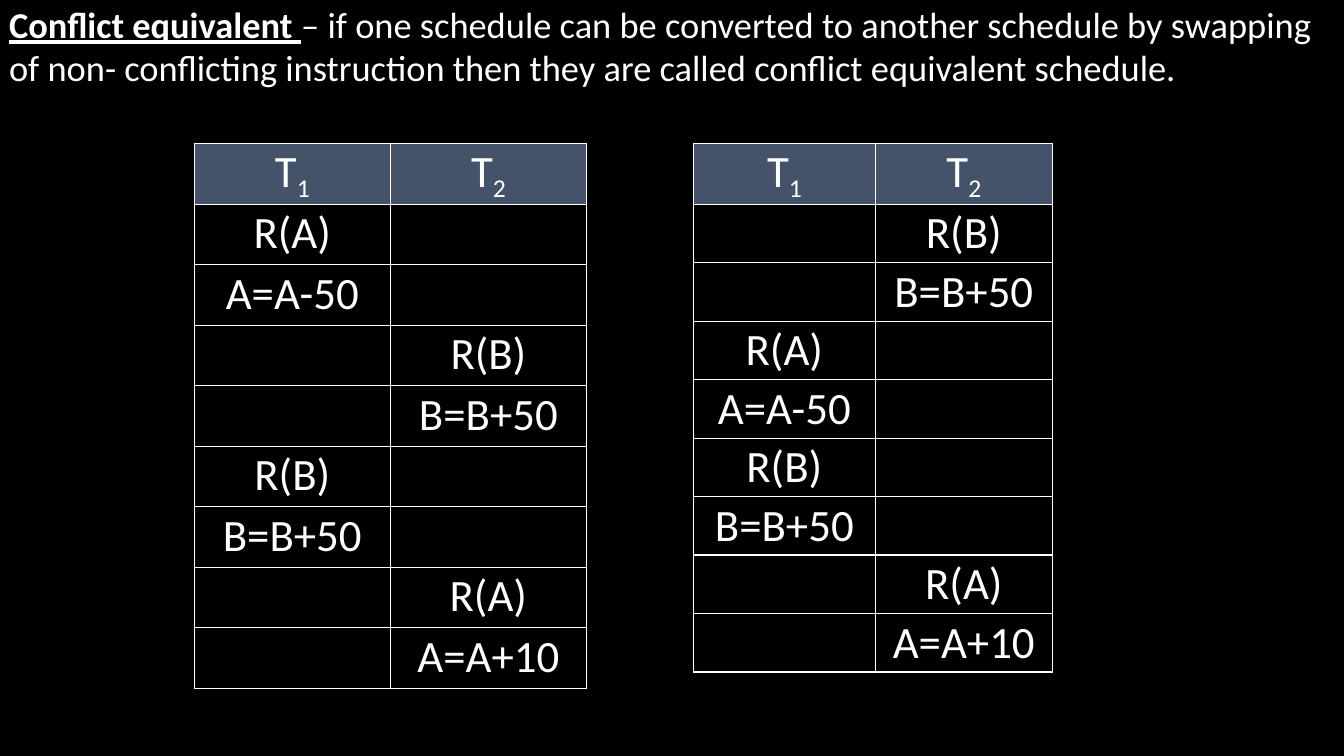
from lxml.etree import SubElement
from pptx import Presentation
from pptx.dml.color import RGBColor
from pptx.enum.text import PP_ALIGN
from pptx.oxml.ns import qn
from pptx.util import Inches, Pt

COLORS = {"background": "000000", "text": "FFFFFF", "header": "44536A", "border": "FFFFFF"}
TITLE_FORMAT = {"name": "Calibri", "size": Pt(26)}
TERM_FORMAT = {**TITLE_FORMAT, "bold": True, "underline": True}
CELL_FORMAT = {"name": "Calibri", "size": Pt(32)}
SUBSCRIPT_FORMAT = {"name": "Calibri", "size": Pt(31.5)}
CELL_MARGINS = {"margin_left": 0, "margin_top": Inches(0.02), "margin_right": 0, "margin_bottom": 0}

# Each step is (transaction number, operation), in order of execution
READ_A, READ_B = (1, "R(A)"), (2, "R(B)")
WRITE_A, WRITE_B = (1, "A=A-50"), (2, "B=B+50")
LAST_STEPS = [(1, "R(B)"), (1, "B=B+50"), (2, "R(A)"), (2, "A=A+10")]
FIRST_SCHEDULE = [READ_A, WRITE_A, READ_B, WRITE_B] + LAST_STEPS
SWAPPED_SCHEDULE = [READ_B, WRITE_B, READ_A, WRITE_A] + LAST_STEPS


def set_attributes(target, values):
    for name, value in values.items():
        setattr(target, name, value)


def set_fill(fill, color):
    fill.solid()
    fill.fore_color.rgb = RGBColor.from_string(COLORS[color])


def add_run(paragraph, text, font_format):
    run = paragraph.add_run()
    run.text = text
    set_attributes(run.font, font_format)
    run.font.color.rgb = RGBColor.from_string(COLORS["text"])
    return run


def add_definition(slide, term, meaning):
    shape = slide.shapes.add_textbox(Inches(0.09), Inches(0.01), Inches(12.94), Inches(0.9))
    frame = shape.text_frame
    set_attributes(frame, {"word_wrap": True, "margin_left": 0, "margin_top": Inches(0.01),
                           "margin_right": 0, "margin_bottom": 0})
    paragraph = frame.paragraphs[0]
    paragraph.space_before = Pt(1.1)
    add_run(paragraph, term, TERM_FORMAT)
    add_run(paragraph, meaning, TITLE_FORMAT)


def add_borders(cell):
    properties = cell._tc.get_or_add_tcPr()
    for side in ("lnL", "lnR", "lnT", "lnB"):
        line = SubElement(properties, qn(f"a:{side}"), w=str(Pt(1)))
        fill = SubElement(line, qn("a:solidFill"))
        SubElement(fill, qn("a:srgbClr"), val=COLORS["border"])


def write_cell(cell, text, subscript=""):
    set_attributes(cell, CELL_MARGINS)
    paragraph = cell.text_frame.paragraphs[0]
    set_attributes(paragraph, {"alignment": PP_ALIGN.CENTER, "space_before": Pt(1.1)})
    add_run(paragraph, text, CELL_FORMAT)
    if subscript:
        run = add_run(paragraph, subscript, SUBSCRIPT_FORMAT)
        run.font._element.set("baseline", "-21000")


def add_schedule(slide, left, column_widths, row_height, steps):
    row_count = len(steps) + 1
    frame = slide.shapes.add_table(row_count, len(column_widths), Inches(left), Inches(1.42),
                                   Inches(sum(column_widths)), Inches(row_height * row_count))
    table = frame.table
    for column, width in zip(table.columns, column_widths):
        column.width = Inches(width)
    for row in table.rows:
        row.height = Inches(row_height)
    for cell in table.iter_cells():
        add_borders(cell)
        set_fill(cell.fill, "background")

    # Header row, then one operation per row
    for number in range(1, len(column_widths) + 1):
        header = table.cell(0, number - 1)
        set_fill(header.fill, "header")
        write_cell(header, "T", str(number))
    for row_index, (transaction, operation) in enumerate(steps, start=1):
        write_cell(table.cell(row_index, transaction - 1), operation)


def main():
    presentation = Presentation()
    presentation.slide_width = Inches(13.33)
    presentation.slide_height = Inches(7.5)
    slide = presentation.slides.add_slide(presentation.slide_layouts[6])
    set_fill(slide.background.fill, "background")

    add_definition(slide, "Conflict equivalent ",
                   "– if one schedule can be converted to another schedule by swapping "
                   "of non- conflicting instruction then they are called conflict "
                   "equivalent schedule.")
    add_schedule(slide, 1.93, [1.94, 1.95], 0.6, FIRST_SCHEDULE)
    add_schedule(slide, 6.88, [1.8, 1.76], 0.58, SWAPPED_SCHEDULE)

    presentation.save("out.pptx")


if __name__ == "__main__":
    main()
